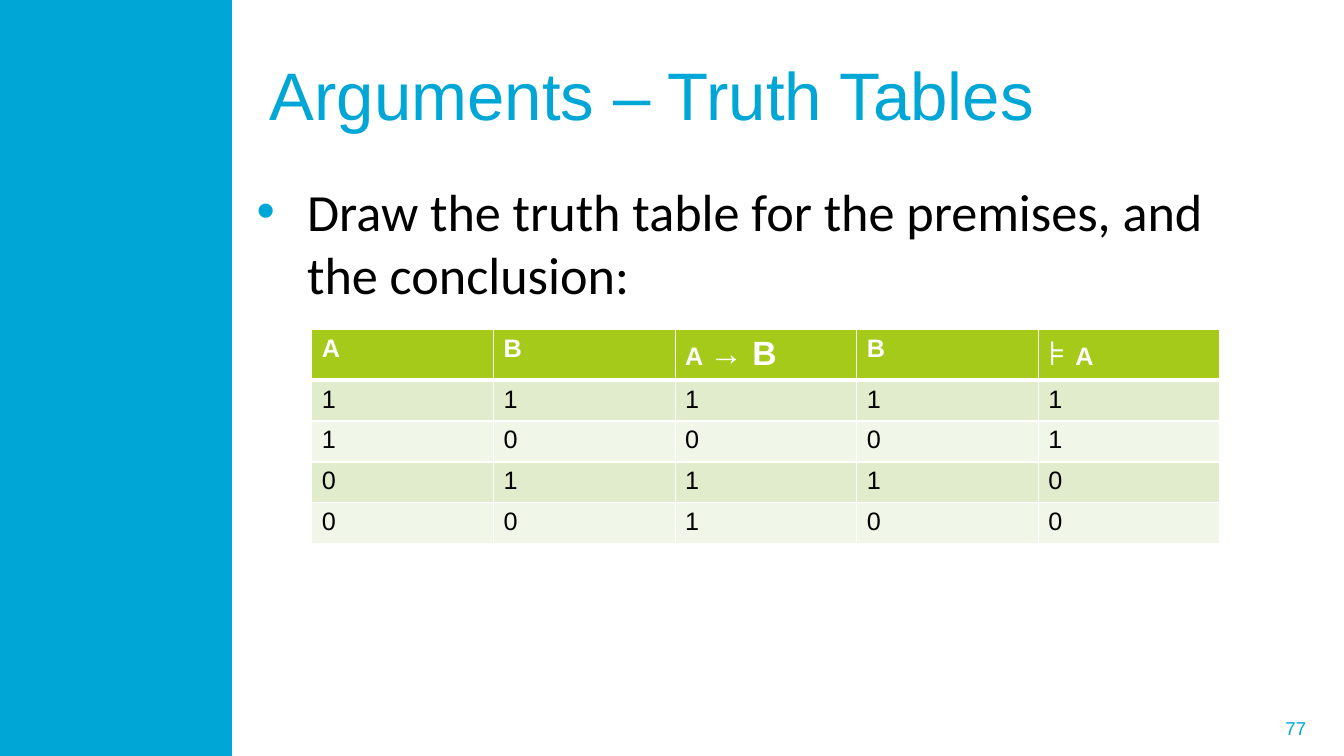
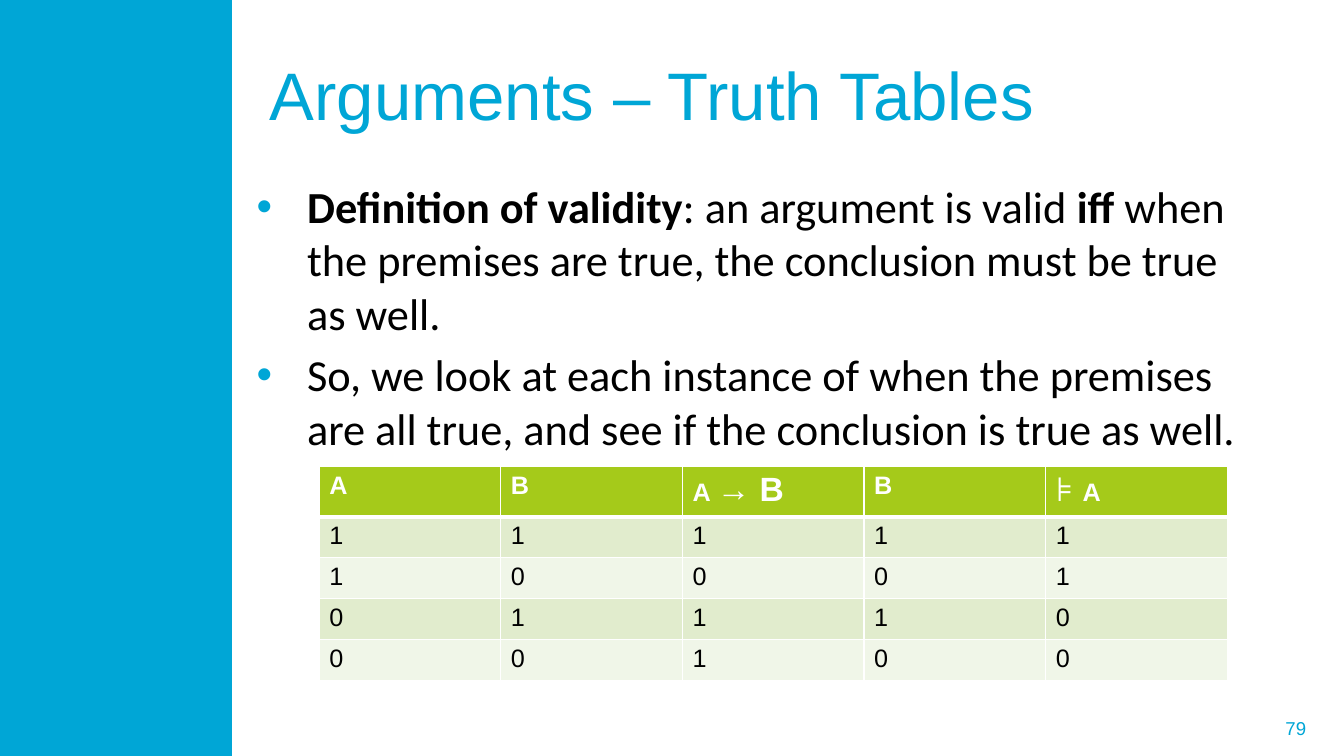
from lxml import etree
from pptx import Presentation
from pptx.dml.color import RGBColor
from pptx.enum.shapes import MSO_SHAPE
from pptx.enum.text import MSO_ANCHOR, PP_ALIGN
from pptx.oxml.ns import qn
from pptx.util import Emu, Pt

RECTANGLE = MSO_SHAPE.RECTANGLE
TOP, MIDDLE = MSO_ANCHOR.TOP, MSO_ANCHOR.MIDDLE
LEFT, RIGHT = PP_ALIGN.LEFT, PP_ALIGN.RIGHT

# Slide content
TITLE = "Arguments – Truth Tables"
HEADERS = [
    ["A"],
    ["B"],
    ["A ", ("→ B", {"size": 24})],
    ["B"],
    [("⊧ ", {"size": 24, "bold": False}), "A"],
]
TRUTH_ROWS = ["11111", "10001", "01110", "00100"]
PREMISES = [["Draw the truth table for the premises, and the conclusion:"]]
VALIDITY = [
    [
        ("Definition of validity", {"bold": True}),
        ": an argument is valid ",
        ("iff", {"bold": True}),
        " when the premises are true, the conclusion must be true as well.",
    ],
    [
        "So, we look at each instance of when the premises are all true, "
        "and see if the conclusion is true as well."
    ],
]


def px(length):
    return Emu(length * 9525)


def color(value):
    return RGBColor.from_string(value)


def add_text(paragraph, text, font="Arial", size=18, ink="000000", bold=False):
    span = paragraph.add_run()
    span.text = text
    span.font.name = font
    span.font.size = Pt(size)
    span.font.color.rgb = color(ink)
    span.font.bold = bold


def add_spans(paragraph, spans, **base):
    """Write plain strings and (text, overrides) pairs in one base format."""
    for span in spans:
        text, changes = (span, {}) if isinstance(span, str) else span
        add_text(paragraph, text, **{**base, **changes})


class Lecture:
    CYAN = "00A6D6"
    GREEN = "A5CA1A"
    BANDS = ("E1ECCD", "F0F6E8")
    WHITE = "FFFFFF"
    COLUMN, ROW = 173, 39

    def __init__(self):
        self.deck = Presentation()
        self.deck.slide_width, self.deck.slide_height = px(1280), px(720)
        self.slide = None

    def new_slide(self, title, number):
        self.slide = self.deck.slides.add_slide(self.deck.slide_layouts[6])
        self.side_band()
        self.label(title, 247, 29, 995, 120, size=48)
        self.label(number, 931, 674, 325, 38, size=13.3, align=RIGHT, side_inset=12)

    def side_band(self):
        band = self.slide.shapes.add_shape(RECTANGLE, 0, 0, px(221), px(720))
        band.shadow.inherit = False
        band.fill.solid()
        band.fill.fore_color.rgb = color(self.CYAN)
        band.line.fill.background()

    def text_frame(self, left, top, width, height, anchor):
        box = self.slide.shapes.add_textbox(px(left), px(top), px(width), px(height))
        frame = box.text_frame
        frame.word_wrap = True
        frame.vertical_anchor = anchor
        return frame

    def label(self, text, left, top, width, height, size, align=LEFT, side_inset=10):
        frame = self.text_frame(left, top, width, height, MIDDLE)
        frame.margin_left = frame.margin_right = px(side_inset)
        paragraph = frame.paragraphs[0]
        paragraph.alignment = align
        add_text(paragraph, text, size=size, ink=self.CYAN)

    def bullets(self, items, height, size):
        frame = self.text_frame(235, 166, 971, height, TOP)
        for index, spans in enumerate(items):
            paragraph = frame.add_paragraph() if index else frame.paragraphs[0]
            if index:
                paragraph.space_before = Pt(6)
            self.bullet_mark(paragraph)
            add_spans(paragraph, spans, font="Calibri", size=size)

    def bullet_mark(self, paragraph):
        properties = paragraph._p.get_or_add_pPr()
        properties.set("marL", str(px(48)))
        properties.set("indent", str(px(-48)))
        tint = etree.SubElement(properties, qn("a:buClr"))
        etree.SubElement(tint, qn("a:srgbClr"), val=self.CYAN)
        etree.SubElement(properties, qn("a:buFont"), typeface="Arial")
        etree.SubElement(properties, qn("a:buChar"), char="•")

    def truth_table(self, left, top):
        rows = [HEADERS, *TRUTH_ROWS]
        table = self.slide.shapes.add_table(
            len(rows), len(HEADERS), px(left), px(top),
            px(self.COLUMN * len(HEADERS)), px(self.ROW * len(rows)),
        ).table
        table.horz_banding = False
        for column in table.columns:
            column.width = px(self.COLUMN)
        for row_index, row in enumerate(rows):
            table.rows[row_index].height = px(self.ROW)
            header = row_index == 0
            fill = self.GREEN if header else self.BANDS[(row_index - 1) % 2]
            for column_index, spans in enumerate(row):
                cell = table.cell(row_index, column_index)
                self.cell_style(cell, fill, top=3 if row_index == 1 else 1,
                                bottom=3 if header else 1)
                add_spans(cell.text_frame.paragraphs[0], spans, bold=header,
                          ink=self.WHITE if header else "000000")

    def cell_style(self, cell, fill, top, bottom):
        properties = cell._tc.get_or_add_tcPr()
        for side, weight in (("L", 1), ("R", 1), ("T", top), ("B", bottom)):
            line = etree.SubElement(properties, qn("a:ln" + side), w=str(Pt(weight)))
            paint = etree.SubElement(line, qn("a:solidFill"))
            etree.SubElement(paint, qn("a:srgbClr"), val=self.WHITE)
        cell.fill.solid()
        cell.fill.fore_color.rgb = color(fill)


def main():
    lecture = Lecture()

    # Truth table of the premises and the conclusion
    lecture.new_slide(TITLE, "77")
    lecture.bullets(PREMISES, height=525, size=37.3)
    lecture.truth_table(297, 314)

    # Definition of validity
    lecture.new_slide(TITLE, "79")
    lecture.bullets(VALIDITY, height=278, size=31.7)
    lecture.truth_table(304, 444)

    lecture.deck.save("out.pptx")


if __name__ == "__main__":
    main()
